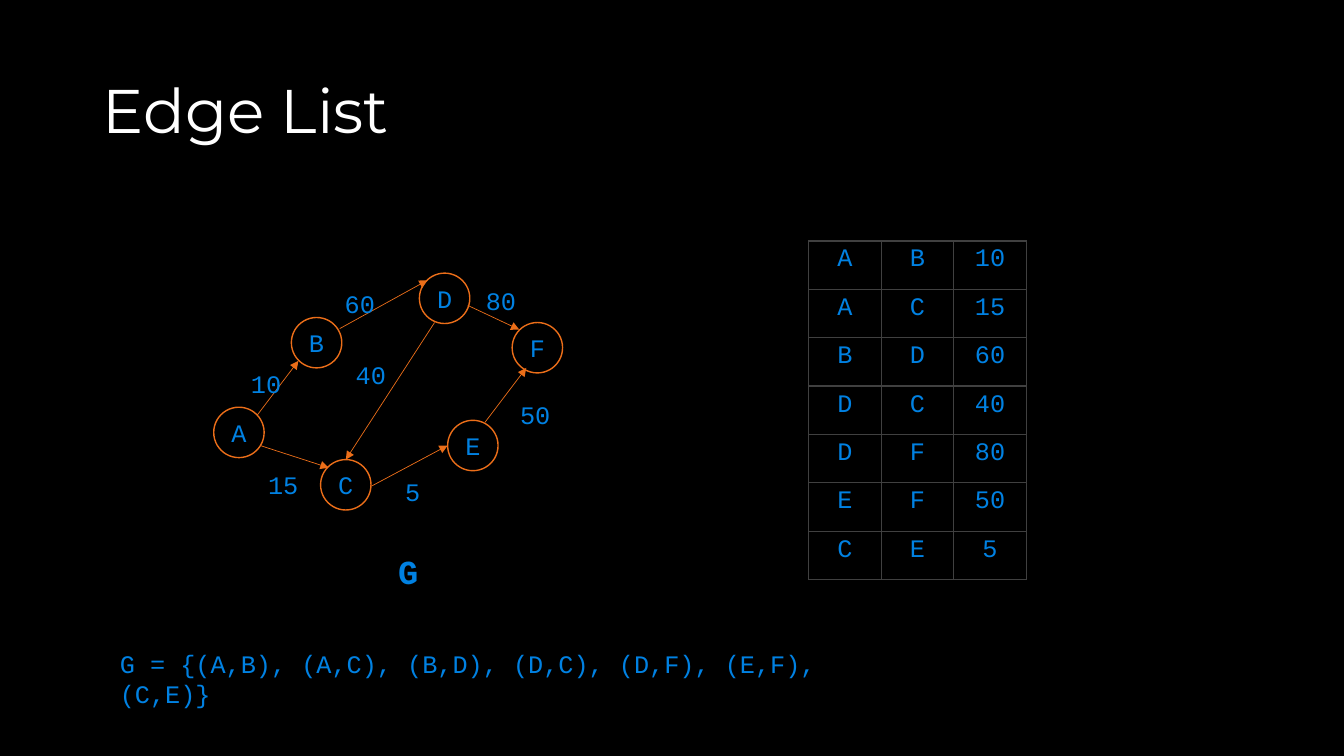
from lxml import etree
from pptx import Presentation
from pptx.dml.color import RGBColor
from pptx.enum.shapes import MSO_CONNECTOR, MSO_SHAPE
from pptx.enum.text import MSO_ANCHOR, MSO_AUTO_SIZE, PP_ALIGN
from pptx.oxml.ns import qn
from pptx.util import Inches, Pt

TITLE = "Edge List"
GRAPH_NAME = "G"
# Node: centre, in inches
NODES = {
    "A": (2.37, 4.29),
    "B": (3.14, 3.40),
    "C": (3.43, 4.81),
    "D": (4.41, 2.96),
    "E": (4.69, 4.42),
    "F": (5.33, 3.45),
}
# Source, target, weight, arrow start, arrow end, top left of the weight label
EDGES = [
    ("A", "B", 10, (2.55, 4.12), (2.96, 3.58), (2.39, 3.60)),
    ("A", "C", 15, (2.58, 4.42), (3.26, 4.64), (2.56, 4.61)),
    ("B", "D", 60, (3.37, 3.26), (4.24, 2.78), (3.32, 2.81)),
    ("D", "C", 40, (4.31, 3.20), (3.43, 4.56), (3.43, 3.52)),
    ("D", "F", 80, (4.64, 3.03), (5.15, 3.27), (4.72, 2.78)),
    ("E", "F", 50, (4.81, 4.19), (5.22, 3.65), (5.06, 3.91)),
    ("C", "E", 5, (3.69, 4.82), (4.44, 4.42), (3.92, 4.68)),
]
COLORS = {"background": "000000", "title": "FFFFFF", "text": "0081E2",
          "graph": "EB6E19", "border": "404040"}
TITLE_FONT, CODE_FONT = "Montserrat", "Courier New"
NODE_SIZE = 0.5
LABEL_W, LABEL_H = 0.52, 0.4
COL_W, ROW_H = 0.72, 0.48

CENTER, LEFT, MIDDLE = PP_ALIGN.CENTER, PP_ALIGN.LEFT, MSO_ANCHOR.MIDDLE
OVAL, STRAIGHT = MSO_SHAPE.OVAL, MSO_CONNECTOR.STRAIGHT
NO_AUTOFIT, GROW = MSO_AUTO_SIZE.NONE, MSO_AUTO_SIZE.SHAPE_TO_FIT_TEXT


def color(name):
    return RGBColor.from_string(COLORS[name])


def inches(*values):
    return [Inches(v) for v in values]


def write(tf, text, size=18, align=LEFT, font=CODE_FONT, ink="text", bold=False):
    p = tf.paragraphs[0]
    p.text = str(text)
    p.alignment = align
    p.font.size, p.font.name, p.font.bold = Pt(size), font, bold
    p.font.color.rgb = color(ink)
    return p


def add_label(shapes, text, x, y, w=LABEL_W, h=LABEL_H, **style):
    tf = shapes.add_textbox(*inches(x, y, w, h)).text_frame
    tf.word_wrap, tf.auto_size = True, GROW
    write(tf, text, **style)


def add_node(shapes, name, cx, cy):
    half = NODE_SIZE / 2
    sp = shapes.add_shape(OVAL, *inches(cx - half, cy - half, NODE_SIZE, NODE_SIZE))
    sp.shadow.inherit = False
    sp.fill.background()
    sp.line.color.rgb, sp.line.width = color("graph"), Pt(1)
    tf = sp.text_frame
    tf.margin_left = tf.margin_right = tf.margin_top = tf.margin_bottom = 0
    tf.vertical_anchor = MIDDLE
    write(tf, name, align=CENTER)


def add_arrow(shapes, start, end):
    line = shapes.add_connector(STRAIGHT, *inches(*start, *end))
    line.line.color.rgb, line.line.width = color("graph"), Pt(0.5)
    etree.SubElement(line.line._get_or_add_ln(), qn("a:tailEnd"), type="triangle")
    etree.SubElement(line._element.spPr, qn("a:effectLst"))


def set_borders(cell):
    tcPr = cell._tc.get_or_add_tcPr()
    for i, side in enumerate(("lnL", "lnR", "lnT", "lnB")):
        ln = etree.Element(qn(f"a:{side}"), w=str(Pt(1)))
        fill = etree.SubElement(ln, qn("a:solidFill"))
        etree.SubElement(fill, qn("a:srgbClr"), val=COLORS["border"])
        tcPr.insert(i, ln)


def add_edge_table(shapes, x, y):
    rows, cols = len(EDGES), 3
    table = shapes.add_table(rows, cols, *inches(x, y, cols * COL_W, rows * ROW_H)).table
    table.first_row = table.horz_banding = False
    for col in table.columns:
        col.width = Inches(COL_W)
    for row, edge in zip(table.rows, EDGES):
        row.height = Inches(ROW_H)
        for cell, value in zip(row.cells, edge):
            cell.fill.background()
            set_borders(cell)
            write(cell.text_frame, value, align=CENTER)


def main():
    prs = Presentation()
    prs.slide_width, prs.slide_height = inches(13.33, 7.5)
    s = prs.slides.add_slide(prs.slide_layouts[5])
    s.background.fill.solid()
    s.background.fill.fore_color.rgb = color("background")

    title = s.shapes.title
    title.left, title.top, title.width, title.height = inches(0.92, 0.4, 11.5, 1.45)
    tf = title.text_frame
    tf.vertical_anchor, tf.auto_size = MIDDLE, NO_AUTOFIT
    write(tf, TITLE, 44, font=TITLE_FONT, ink="title").line_spacing = 0.9

    graph = s.shapes.add_group_shape().shapes
    for name, center in NODES.items():
        add_node(graph, name, *center)
    for _, _, weight, start, end, label in EDGES:
        add_arrow(graph, start, end)
        add_label(graph, weight, *label)

    add_label(s.shapes, GRAPH_NAME, 3.85, 5.42, h=0.5, size=24, bold=True)
    pairs = ", ".join(f"({source},{target})" for source, target, *_ in EDGES)
    add_label(s.shapes, f"{GRAPH_NAME} = {{{pairs}}}", 1.09, 6.38, w=8.01)
    add_edge_table(s.shapes, 8.02, 2.39)
    prs.save("out.pptx")


if __name__ == "__main__":
    main()
